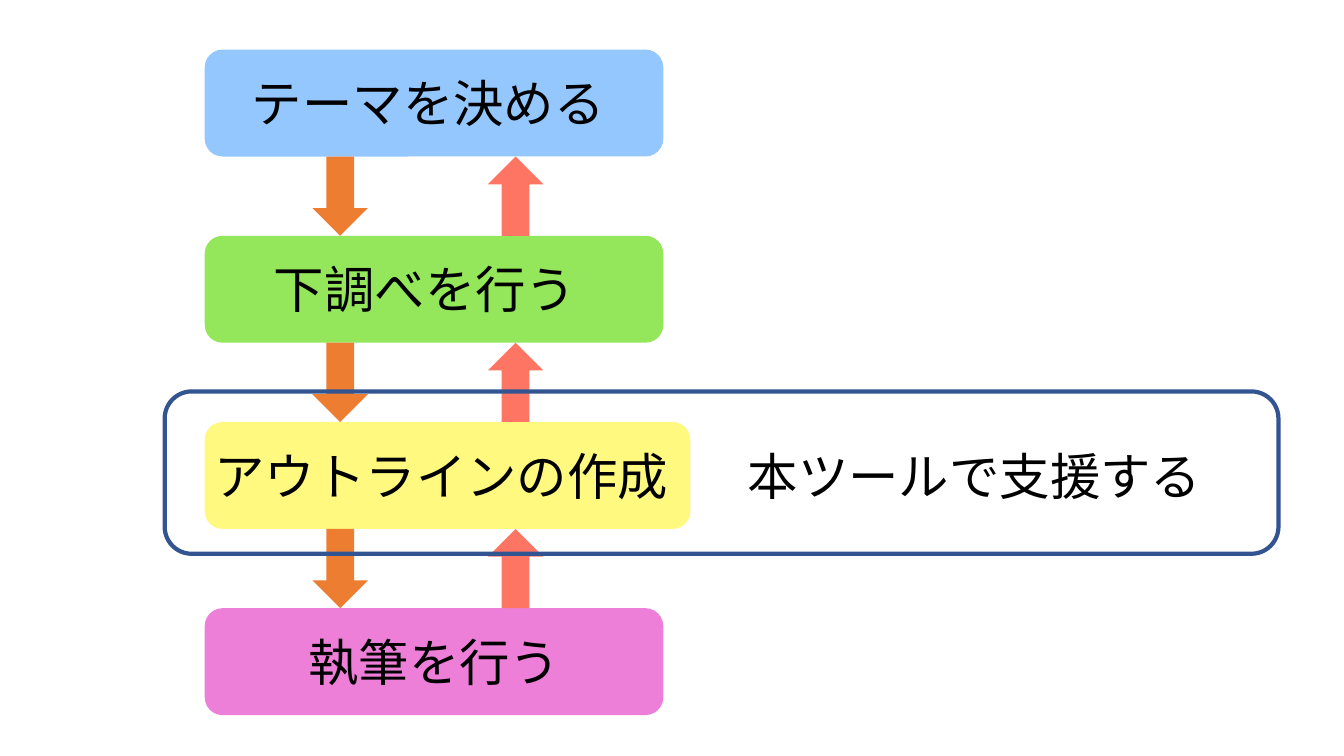
from lxml.etree import SubElement
from pptx import Presentation
from pptx.dml.color import RGBColor as RGB
from pptx.enum.shapes import MSO_SHAPE as Kind
from pptx.oxml.ns import qn
from pptx.util import Pt

FONT = "Noto Sans CJK JP"
LEFT, TOP, STEP, HIGH = 146.2, 35.4, 133, 76.4
STAGES = [
    ("テーマを決める", "95C7FF", 327.6, 172.8, 275),
    ("下調べを行う", "94E65B", 327.6, 188.6, 243.4),
    ("アウトラインの作成", "FFF97F", 347, 146.2, 341.3),
    ("執筆を行う", "EE7FD8", 327.6, 213.1, 194.4),
]
ARROWS = [(243, 90, "ED7D31"), (368.3, 270, "FF7563")]


def paint(fmt, tone):
    """Give a fill or line format a solid colour."""
    fmt.solid()
    fmt.fore_color.rgb = RGB.from_string(tone)


def shape(slide, kind, box, tone):
    """Add a filled shape with no outline."""
    item = slide.shapes.add_shape(kind, *map(Pt, box))
    item.shadow.inherit = False
    item.line.fill.background()
    paint(item.fill, tone)
    return item


def frame(slide, box, tone, width):
    """Add an outlined rounded rectangle with no fill."""
    item = slide.shapes.add_shape(Kind.ROUNDED_RECTANGLE, *map(Pt, box))
    item.shadow.inherit = False
    item.fill.background()
    paint(item.line.fill, tone)
    item.line.width = Pt(width)


def label(slide, text, left, top, width):
    """Add a line of large black text."""
    item = slide.shapes.add_textbox(*map(Pt, (left, top, width, 50.9)))
    item.text_frame.text = text
    run = item.text_frame.paragraphs[0].runs[0]
    run.font.size = Pt(36)
    run.font.name = FONT
    paint(run.font.fill, "000000")
    SubElement(run.font._element, qn("a:ea"), typeface=FONT)


def arrow(slide, mid, row, turn, tone):
    """Add a vertical arrow in the gap below a row."""
    gap, thick = STEP - HIGH, 39.6
    centre = TOP + row * STEP + HIGH + gap / 2
    box = (mid - gap / 2, centre - thick / 2, gap, thick)
    shape(slide, Kind.RIGHT_ARROW, box, tone).rotation = turn


def main():
    """Build the writing process slide."""
    deck = Presentation()
    deck.slide_width, deck.slide_height = Pt(960), Pt(540)
    slide = deck.slides.add_slide(deck.slide_layouts[6])
    for row, (text, tone, width, left, span) in enumerate(STAGES):
        top = TOP + row * STEP
        shape(slide, Kind.ROUNDED_RECTANGLE, (LEFT, top, width, HIGH), tone)
        label(slide, text, left, top + 12.7, span)
    for mid, turn, tone in ARROWS:
        for row in range(len(STAGES) - 1):
            arrow(slide, mid, row, turn, tone)
    frame(slide, (117.6, 279.6, 795.6, 116), "325491", 3)
    label(slide, "本ツールで支援する", 527, TOP + 2 * STEP + 12.7, 362)
    deck.save("out.pptx")


if __name__ == "__main__":
    main()
